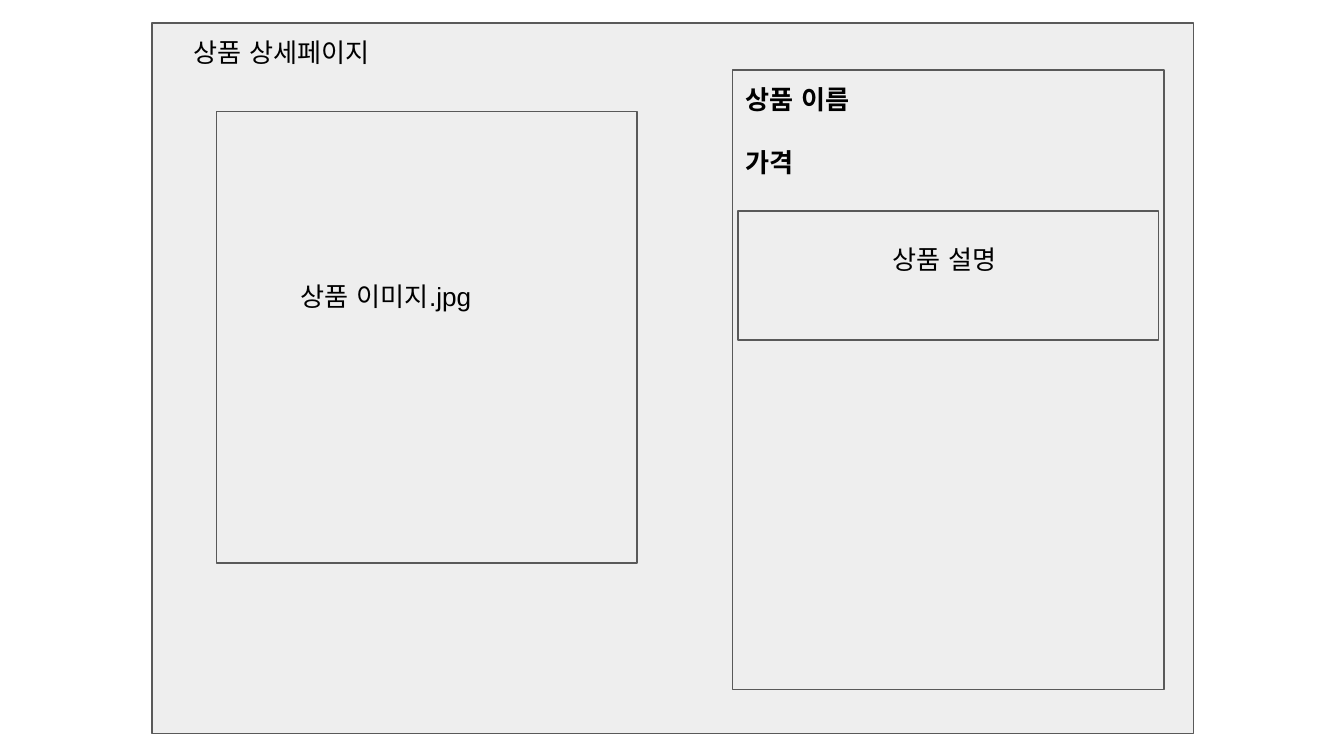
from dataclasses import dataclass

from lxml.etree import SubElement
from pptx import Presentation
from pptx.dml.color import RGBColor
from pptx.enum.shapes import MSO_SHAPE as Shape
from pptx.enum.text import MSO_ANCHOR as Anchor, MSO_AUTO_SIZE as AutoSize, PP_ALIGN as Align
from pptx.oxml.ns import qn
from pptx.util import Inches, Pt


@dataclass(frozen=True)
class Theme:
    """Colours and type sizes of the wireframe."""
    fill: RGBColor = RGBColor(0xEE, 0xEE, 0xEE)
    outline: RGBColor = RGBColor(0x59, 0x59, 0x59)
    text: RGBColor = RGBColor(0, 0, 0)
    font: str = "Arial"
    size: Pt = Pt(14)
    outline_width: Pt = Pt(0.75)
    row_gap: Pt = Pt(17)


THEME = Theme()


def add_panel(slide, left, top, width, height):
    """Add one outlined grey rectangle."""
    panel = slide.shapes.add_shape(
        Shape.RECTANGLE, Inches(left), Inches(top), Inches(width), Inches(height))
    panel.shadow.inherit = False
    panel.fill.solid()
    panel.fill.fore_color.rgb = THEME.fill
    panel.line.color.rgb = THEME.outline
    panel.line.width = THEME.outline_width
    return panel


def add_run(paragraph, text, bold):
    """Add a run whose Latin, East Asian and complex fonts agree."""
    run = paragraph.add_run()
    run.text = text
    run.font.size = THEME.size
    run.font.bold = bold
    run.font.color.rgb = THEME.text
    run.font.name = THEME.font
    for script in ("a:ea", "a:cs"):
        SubElement(run.font._element, qn(script), typeface=THEME.font)


def write(holder, *lines, bold=False, align=Align.LEFT, anchor=Anchor.TOP, right=0.1, bottom=0.1):
    """Write lines of text with the common margins and font."""
    frame = holder.text_frame
    frame.word_wrap = True
    frame.auto_size = AutoSize.NONE
    frame.vertical_anchor = anchor
    frame.margin_left = frame.margin_top = Inches(0.1)
    frame.margin_right, frame.margin_bottom = Inches(right), Inches(bottom)
    for index, line in enumerate(lines):
        paragraph = frame.add_paragraph() if index else frame.paragraphs[0]
        paragraph.alignment = align
        paragraph.space_before = THEME.row_gap if index else Pt(0)
        add_run(paragraph, line, bold)


def place_title(slide, behind, text):
    """Place the slide title directly in front of a panel."""
    title = slide.shapes.title
    title.left, title.top = Inches(1.34), Inches(0.17)
    title.width, title.height = Inches(7.39), Inches(0.44)
    behind.element.addnext(title.element)
    write(title, text)


def add_label(slide, left, top, width, height, text):
    """Add a plain text label."""
    label = slide.shapes.add_textbox(Inches(left), Inches(top), Inches(width), Inches(height))
    write(label, text)


def main():
    """Build the product detail page wireframe."""
    deck = Presentation()
    deck.slide_width, deck.slide_height = Inches(10), Inches(10 * 9 / 16)
    slide = deck.slides.add_slide(deck.slide_layouts[5])

    page = add_panel(slide, 1.13, 0.17, 7.75, 5.29)
    place_title(slide, page, "상품 상세페이지")

    add_panel(slide, 1.61, 0.83, 3.13, 3.36)
    add_label(slide, 2.14, 1.99, 2.07, 0.44, "상품 이미지.jpg")

    details = add_panel(slide, 5.45, 0.52, 3.21, 4.61)
    write(details, "상품 이름", "가격", bold=True)

    description = add_panel(slide, 5.49, 1.57, 3.13, 0.96)
    write(description, "상품 설명", align=Align.CENTER, anchor=Anchor.MIDDLE,
          right=0.15, bottom=0.35)

    deck.save("out.pptx")


if __name__ == "__main__":
    main()
